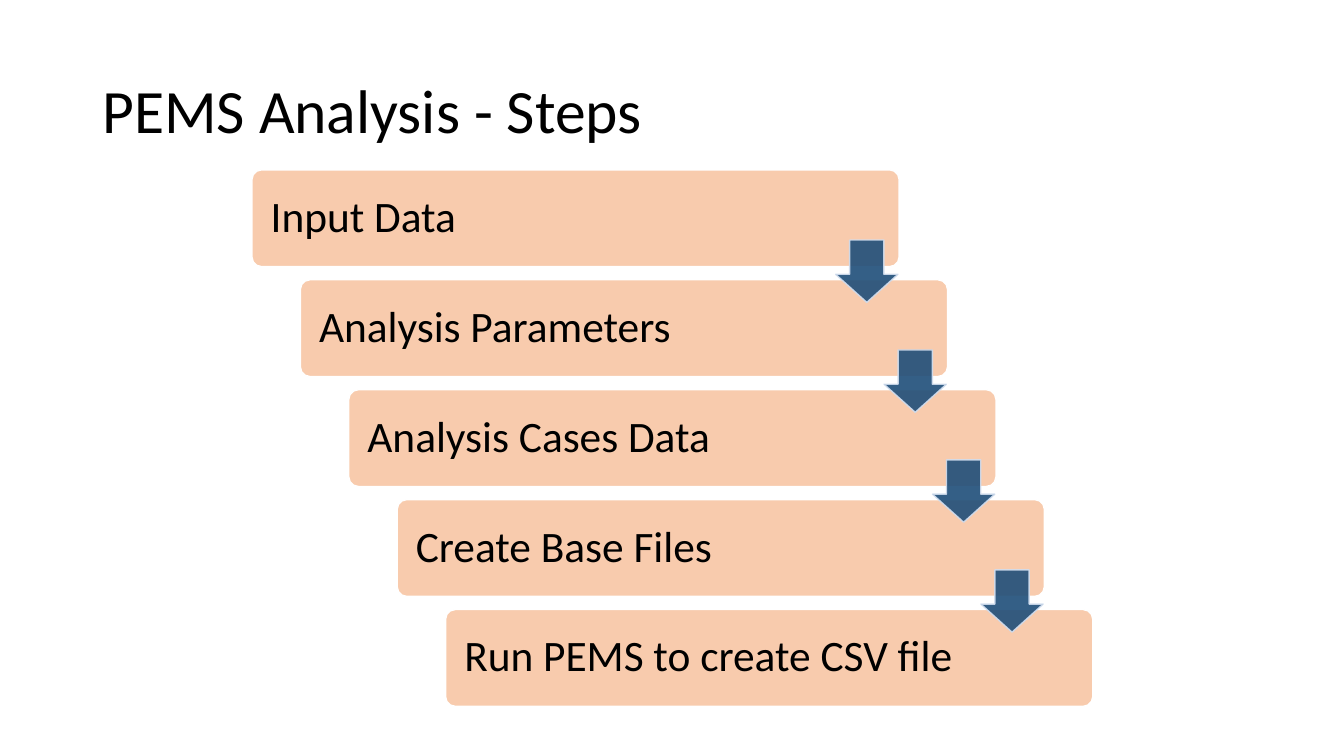
from lxml.etree import SubElement
from pptx import Presentation
from pptx.dml.color import RGBColor
from pptx.enum.shapes import MSO_SHAPE as Preset
from pptx.enum.text import MSO_ANCHOR as Anchor, PP_ALIGN as Align
from pptx.oxml.ns import qn
from pptx.util import Cm, Pt

STEPS = [
    "Input Data",
    "Analysis Parameters",
    "Analysis Cases Data",
    "Create Base Files",
    "Run PEMS to create CSV file",
]
STEP_RIGHT, STEP_DOWN = 1.22, 2.77
BOX_LEFT, BOX_TOP, BOX_WIDTH, BOX_HEIGHT = 6.35, 4.28, 16.31, 2.44
ARROW_LEFT, ARROW_TOP, ARROW_SIZE = 21.06, 6.05, 1.57


def color(hex_string):
    return RGBColor.from_string(hex_string)


def set_opacity(color_format_parent, percent):
    """Make every solid colour below the given XML element partly transparent."""
    for element in color_format_parent.iter(qn("a:srgbClr")):
        SubElement(element, qn("a:alpha"), val=str(percent * 1000))


def write_text(shape, text, size, inset=0.25):
    frame = shape.text_frame
    frame.word_wrap = True
    frame.vertical_anchor = Anchor.MIDDLE
    frame.margin_left = frame.margin_right = Cm(inset)
    paragraph = frame.paragraphs[0]
    paragraph.alignment = Align.LEFT
    paragraph.line_spacing = 0.9
    run = paragraph.add_run()
    run.text = text
    run.font.name = "Calibri"
    run.font.size = Pt(size)
    run.font.color.rgb = color("000000")


def add_preset(slide, preset, left, top, width, height, adjustments, fill, line):
    shape = slide.shapes.add_shape(preset, Cm(left), Cm(top), Cm(width), Cm(height))
    for index, value in enumerate(adjustments):
        shape.adjustments[index] = value
    shape.shadow.inherit = False
    shape.fill.solid()
    shape.fill.fore_color.rgb = color(fill)
    shape.line.color.rgb = color(line)
    shape.line.width = Pt(1)
    return shape


def add_title(slide, text):
    title = slide.shapes.add_textbox(Cm(2.33), Cm(1.01), Cm(29.21), Cm(3.68))
    write_text(title, text, size=44)


def add_step_box(slide, index, text):
    box = add_preset(
        slide, Preset.ROUNDED_RECTANGLE,
        BOX_LEFT + index * STEP_RIGHT, BOX_TOP + index * STEP_DOWN,
        BOX_WIDTH, BOX_HEIGHT, [0.1], fill="F8CBAD", line="FFFFFF")
    write_text(box, text, size=31, inset=0.4)


def add_step_arrow(slide, index):
    arrow = add_preset(
        slide, Preset.DOWN_ARROW,
        ARROW_LEFT + index * STEP_RIGHT, ARROW_TOP + index * STEP_DOWN,
        ARROW_SIZE, ARROW_SIZE, [0.55, 0.45], fill="1F4E79", line="D2DEEF")
    set_opacity(arrow.element.spPr, 90)


def main():
    presentation = Presentation()
    presentation.slide_width = Cm(33.87)
    presentation.slide_height = Cm(19.05)
    slide = presentation.slides.add_slide(presentation.slide_layouts[6])
    add_title(slide, "PEMS Analysis - Steps")
    for index, text in enumerate(STEPS):
        add_step_box(slide, index, text)
    for index in range(len(STEPS) - 1):
        add_step_arrow(slide, index)
    presentation.save("out.pptx")


if __name__ == "__main__":
    main()
